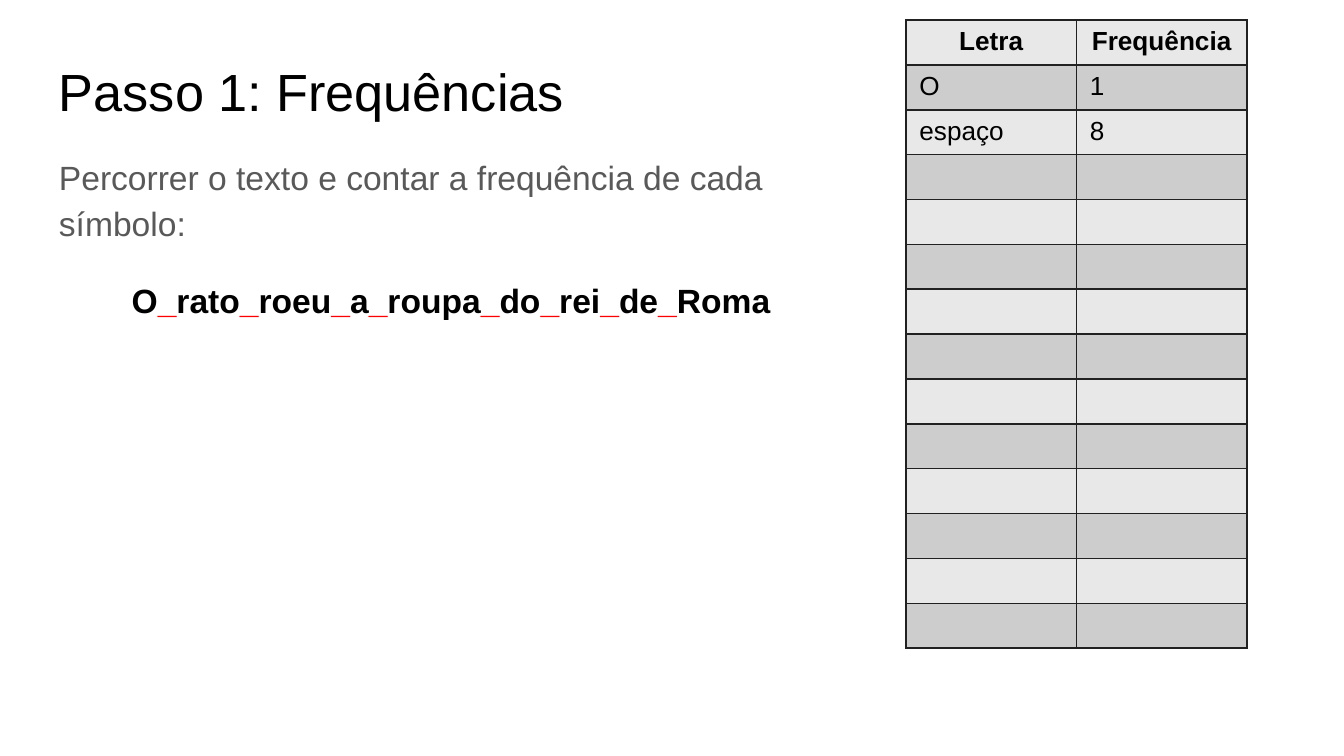
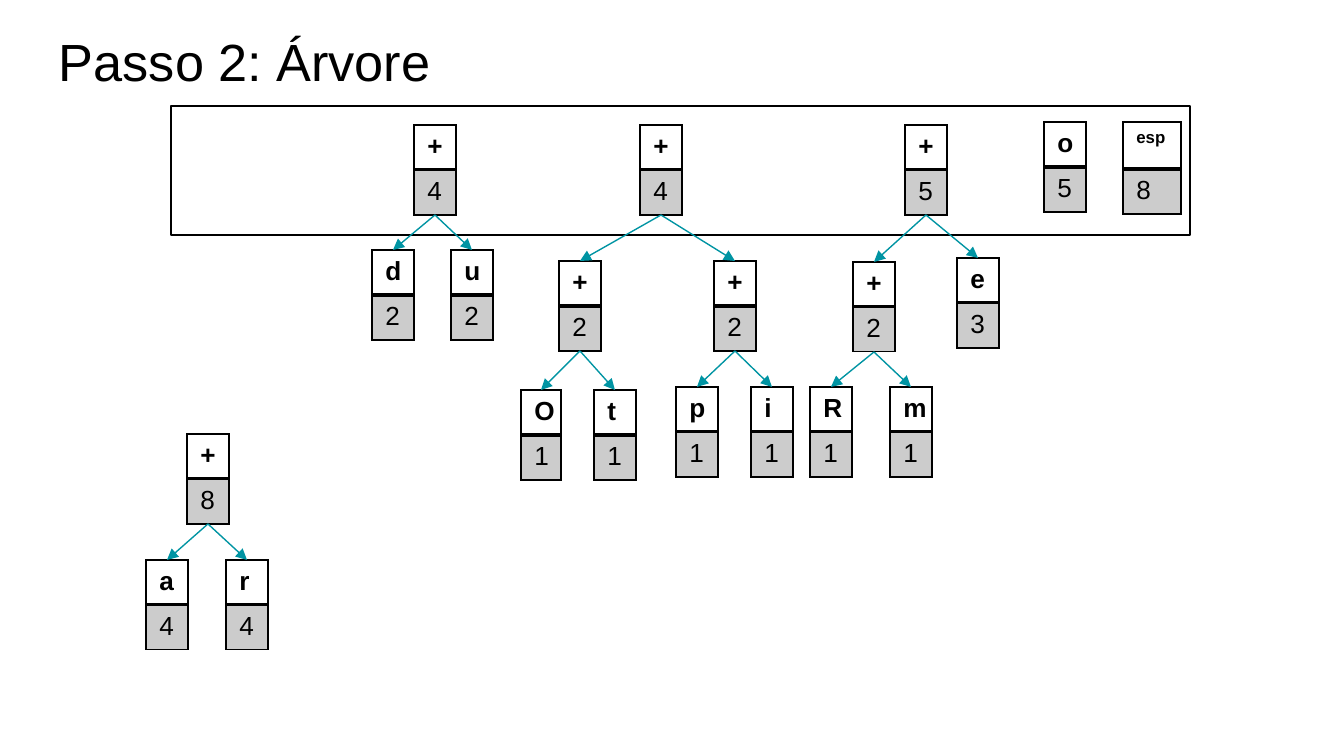
from dataclasses import dataclass

from lxml.etree import SubElement
from pptx import Presentation
from pptx.dml.color import RGBColor
from pptx.enum.shapes import MSO_CONNECTOR, MSO_SHAPE
from pptx.enum.text import MSO_ANCHOR, PP_ALIGN
from pptx.oxml.ns import qn
from pptx.util import Emu, Pt

SCALE = 914400 / 134.4
BLACK = RGBColor(0x00, 0x00, 0x00)
GRAY = RGBColor(0x59, 0x59, 0x59)
RED = RGBColor(0xFF, 0x00, 0x00)
TEAL = RGBColor(0x00, 0x94, 0xA3)
GRID = RGBColor(0x21, 0x21, 0x21)
LIGHT_ROW = RGBColor(0xE8, 0xE8, 0xE8)
DARK_ROW = RGBColor(0xCD, 0xCD, 0xCD)

TITLE_FONT = {"name": "Arial", "size": Pt(28), "bold": False}
BODY_FONT = {"name": "Arial", "size": Pt(18), "bold": False}
PHRASE_FONT = {**BODY_FONT, "bold": True}
CELL_FONT = {"name": "Arial", "size": Pt(14), "bold": False}
HEAD_FONT = {**CELL_FONT, "bold": True}
SMALL_HEAD_FONT = {**HEAD_FONT, "size": Pt(9)}

THIN_BORDERS = {"lnL": 1, "lnR": 1, "lnT": 1, "lnB": 1}
SYMBOL_BORDERS = {**THIN_BORDERS, "lnB": 2}

FREQUENCIES = [("Letra", "Frequência"), ("O", "1"), ("espaço", "8")]
FREQUENCY_ROWS = 14
PHRASE = "O_rato_roeu_a_roupa_do_rei_de_Roma"


@dataclass
class Node:
    """A symbol of the tree with its count and place."""
    symbol: str
    count: int
    left: int
    top: int
    width: int = 42
    symbol_height: int = 42
    frame_height: int = 90
    font: dict = None
    children: tuple = ()

    @property
    def center(self):
        """Return the horizontal middle of the node."""
        return self.left + self.width // 2


def join(left, top, *children):
    """Return a node that sums the counts of its children."""
    return Node("+", sum(child.count for child in children), left, top, children=children)


def px(value):
    """Turn pixels into EMU."""
    return Emu(round(value * SCALE))


def box(*lengths):
    """Turn several pixel lengths into EMU."""
    return [px(length) for length in lengths]


def apply(target, values):
    """Set each attribute in a dict of format values."""
    for name, value in values.items():
        setattr(target, name, value)


def add_run(paragraph, words, font, color):
    """Add a run in the given format."""
    run = paragraph.add_run()
    run.text = words
    apply(run.font, font)
    run.font.color.rgb = color


def add_text_frame(slide, *place):
    """Add a text box and return its text frame."""
    frame = slide.shapes.add_textbox(*box(*place)).text_frame
    margins = {f"margin_{side}": px(13) for side in ("left", "top", "right", "bottom")}
    apply(frame, {**margins, "word_wrap": True, "vertical_anchor": MSO_ANCHOR.TOP})
    return frame


def add_title(slide, words, top):
    """Add the slide title."""
    frame = add_text_frame(slide, 46, top, 1252, 85)
    add_run(frame.paragraphs[0], words, TITLE_FONT, BLACK)


def set_borders(cell, widths, color):
    """Draw the cell borders in the given point widths."""
    properties = cell._tc.get_or_add_tcPr()
    for side, width in widths.items():
        line = SubElement(properties, qn(f"a:{side}"), w=str(Pt(width)))
        fill = SubElement(line, qn("a:solidFill"))
        SubElement(fill, qn("a:srgbClr"), val=str(color))


def fill_cell(cell, color, alpha=None):
    """Fill a cell, with an optional opacity in percent."""
    if color is None:
        cell.fill.background()
        return
    cell.fill.solid()
    cell.fill.fore_color.rgb = color
    if alpha:
        tone = cell._tc.tcPr.find(qn("a:solidFill"))[0]
        SubElement(tone, qn("a:alpha"), val=str(alpha * 1000))


def write_cell(cell, words, font, align=PP_ALIGN.LEFT):
    """Write the cell text, or keep the text size of an empty cell."""
    paragraph = cell.text_frame.paragraphs[0]
    paragraph.alignment = align
    if words:
        add_run(paragraph, words, font, BLACK)
    else:
        end = paragraph._p.get_or_add_endParaRPr()
        end.set("sz", str(int(font["size"].pt * 100)))


def add_grid(slide, place, row_heights, column_count):
    """Add an unstyled table and return it."""
    frame = slide.shapes.add_table(len(row_heights), column_count, *box(*place))
    apply(frame.table, {"first_row": False, "horz_banding": False})
    for row, height in zip(frame.table.rows, row_heights):
        row.height = px(height)
    frame.height = px(place[3])
    return frame.table


def add_frequency_table(slide):
    """Add the table of letters and frequencies."""
    heights = [42] + [39] * (FREQUENCY_ROWS - 1)
    table = add_grid(slide, (906, 20, 341, 628), heights, 2)
    for row in range(FREQUENCY_ROWS):
        words = FREQUENCIES[row] if row < len(FREQUENCIES) else ("", "")
        font, align = (CELL_FONT, PP_ALIGN.LEFT) if row else (HEAD_FONT, PP_ALIGN.CENTER)
        for column, word in enumerate(words):
            cell = table.cell(row, column)
            set_borders(cell, THIN_BORDERS, GRID)
            fill_cell(cell, DARK_ROW if row % 2 else LIGHT_ROW)
            write_cell(cell, word, font, align)


def add_node(slide, node):
    """Add a node as a symbol above its count."""
    place = (node.left, node.top, node.width, node.frame_height)
    table = add_grid(slide, place, [node.symbol_height, 42], 1)
    symbol, count = table.cell(0, 0), table.cell(1, 0)
    set_borders(symbol, SYMBOL_BORDERS, BLACK)
    fill_cell(symbol, None)
    write_cell(symbol, node.symbol, node.font or HEAD_FONT)
    set_borders(count, THIN_BORDERS, BLACK)
    fill_cell(count, BLACK, alpha=20)
    write_cell(count, str(node.count), CELL_FONT)


def add_arrow(slide, parent, child):
    """Add an arrow from the foot of a parent to the top of a child."""
    ends = box(parent.center, parent.top + parent.frame_height, child.center, child.top)
    arrow = slide.shapes.add_connector(MSO_CONNECTOR.STRAIGHT, *ends)
    arrow.line.color.rgb = TEAL
    arrow.line.width = Pt(0.75)
    SubElement(arrow.line._get_or_add_ln(), qn("a:tailEnd"), type="triangle")
    SubElement(arrow._element.spPr, qn("a:effectLst"))


def add_queue(slide):
    """Add the outline around the nodes that wait in the queue."""
    queue = slide.shapes.add_shape(MSO_SHAPE.RECTANGLE, *box(171, 106, 1019, 129))
    queue.shadow.inherit = False
    queue.fill.background()
    queue.line.color.rgb = BLACK
    queue.line.width = Pt(0.75)


def build_frequencies(slide):
    """Build the slide on counting symbols."""
    add_title(slide, "Passo 1: Frequências", 46)
    frame = add_text_frame(slide, 46, 138, 810, 617)
    task, phrase = frame.paragraphs[0], frame.add_paragraph()
    add_run(task, "Percorrer o texto e contar a frequência de cada símbolo:", BODY_FONT, GRAY)
    task.line_spacing = 1.15
    apply(phrase, {"line_spacing": 1.15, "space_before": Pt(16), "alignment": PP_ALIGN.CENTER})
    for index, word in enumerate(PHRASE.split("_")):
        if index:
            add_run(phrase, "_", PHRASE_FONT, RED)
        add_run(phrase, word, PHRASE_FONT, BLACK)
    add_frequency_table(slide)


def build_tree(slide):
    """Build the slide on joining nodes into a tree."""
    leaves = [
        Node("O", 1, 521, 390, width=40), Node("t", 1, 594, 390),
        Node("p", 1, 676, 387), Node("i", 1, 751, 387),
        Node("R", 1, 810, 387), Node("m", 1, 890, 387),
        Node("d", 2, 372, 250), Node("u", 2, 451, 250),
        Node("e", 3, 957, 258),
        Node("a", 4, 146, 560), Node("r", 4, 226, 560),
        Node("o", 5, 1044, 122),
        Node("esp", 8, 1123, 122, width=58, symbol_height=47, frame_height=93,
             font=SMALL_HEAD_FONT),
    ]
    upper_o, t, p, i, upper_r, m, d, u, e, a, r = leaves[:11]
    first = join(559, 261, upper_o, t)
    second = join(714, 261, p, i)
    third = join(853, 262, upper_r, m)
    branches = [
        first, second, third,
        join(414, 125, d, u),
        join(640, 125, first, second),
        join(905, 125, third, e),
        join(187, 434, a, r),
    ]
    add_title(slide, "Passo 2: Árvore", 16)
    for leaf in leaves:
        add_node(slide, leaf)
    add_queue(slide)
    for branch in branches:
        add_node(slide, branch)
        for child in reversed(branch.children):
            add_arrow(slide, branch, child)


def main():
    """Build and save the presentation."""
    presentation = Presentation()
    apply(presentation, {"slide_width": px(1344), "slide_height": px(756)})
    for build in (build_frequencies, build_tree):
        build(presentation.slides.add_slide(presentation.slide_layouts[6]))
    presentation.save("out.pptx")


main()
